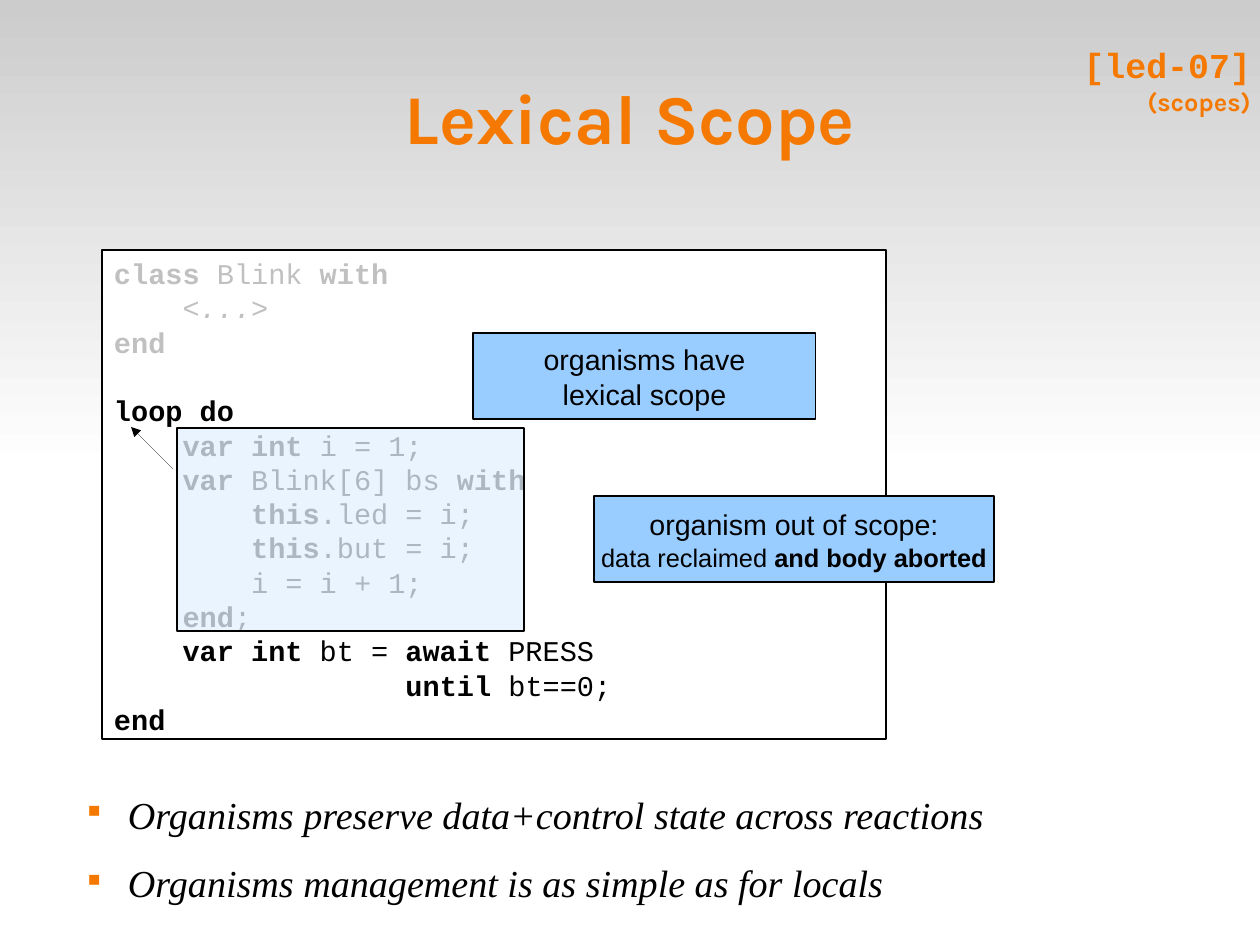
from lxml import etree
from pptx import Presentation
from pptx.dml.color import RGBColor
from pptx.enum.shapes import MSO_CONNECTOR, MSO_SHAPE
from pptx.enum.text import MSO_ANCHOR, MSO_AUTO_SIZE, PP_ALIGN
from pptx.oxml.ns import qn
from pptx.util import Emu, Pt

PX = 8000
SLIDE_WIDTH, SLIDE_HEIGHT = 1260, 945
TITLE_ONLY = 5

RECTANGLE = MSO_SHAPE.RECTANGLE
STRAIGHT = MSO_CONNECTOR.STRAIGHT
TOP, MIDDLE = MSO_ANCHOR.TOP, MSO_ANCHOR.MIDDLE
LEFT, CENTER, RIGHT = PP_ALIGN.LEFT, PP_ALIGN.CENTER, PP_ALIGN.RIGHT
NO_AUTOFIT = MSO_AUTO_SIZE.NONE

BLACK = RGBColor(0x00, 0x00, 0x00)
WHITE = RGBColor(0xFF, 0xFF, 0xFF)
ORANGE = RGBColor(0xF5, 0x79, 0x00)
BLUE = RGBColor(0x99, 0xCC, 0xFF)
BAND_GRAY = RGBColor(0xCC, 0xCC, 0xCC)
CLASS_GRAY = RGBColor(0xC0, 0xC0, 0xC0)
BODY_GRAY = RGBColor(0xB2, 0xB2, 0xB2)

SANS, MONO, HEADING, SERIF = "Arial", "Courier New", "Karla", "Times New Roman"

CODE = [
    (CLASS_GRAY, ["*class* Blink *with*", "    <...>", "*end*", ""]),
    (BLACK, ["*loop do*"]),
    (BODY_GRAY, [
        "*    var int* i = 1;",
        "*    var *Blink[6] bs *with*",
        "        *this*.led = i;",
        "        *this*.but = i;",
        "        i = i + 1;",
        "*    end*;",
    ]),
    (BLACK, [
        "    *var int* bt = *await *PRESS",
        "                 *until *bt==0;",
        "*end*",
    ]),
]
POINTS = [
    "Organisms preserve data+control state across reactions",
    "Organisms management is as simple as for locals",
]


def px(*lengths):
    return [Emu(length * PX) for length in lengths]


def setup_frame(shape, anchor=TOP, insets=(0, 0, 0, 0), wrap=True):
    frame = shape.text_frame
    frame.auto_size = NO_AUTOFIT
    frame.word_wrap = wrap
    frame.vertical_anchor = anchor
    (frame.margin_left, frame.margin_top,
     frame.margin_right, frame.margin_bottom) = px(*insets)
    return frame


def write(frame, text, first=False, font=SANS, size=18, color=BLACK,
          bold=False, italic=False, align=LEFT, spacing=None, after=0,
          bullet=False):
    paragraph = frame.paragraphs[0] if first else frame.add_paragraph()
    paragraph.alignment = align
    paragraph.line_spacing = spacing
    paragraph.space_after = Pt(after)
    if bullet:
        add_bullet(paragraph)
    paragraph.font.size = Pt(size)
    for index, part in enumerate(text.split("*")):
        if part:
            run = paragraph.add_run()
            run.text = part
            run.font.name = font
            run.font.size = Pt(size)
            run.font.bold = bold or index % 2 == 1
            run.font.italic = italic
            run.font.color.rgb = color


def add_bullet(paragraph):
    properties = paragraph._p.get_or_add_pPr()
    properties.set("marL", str(54 * PX))
    properties.set("indent", str(-40 * PX))
    color = etree.SubElement(properties, qn("a:buClr"))
    etree.SubElement(color, qn("a:srgbClr"), val=str(ORANGE))
    etree.SubElement(properties, qn("a:buSzPct"), val="45000")
    etree.SubElement(properties, qn("a:buChar"), char="■")


def add_box(slide, bounds, fill, line_width=0, alpha=None):
    shape = slide.shapes.add_shape(RECTANGLE, *px(*bounds))
    shape.shadow.inherit = False
    shape.fill.solid()
    shape.fill.fore_color.rgb = fill
    shape.line.color.rgb = BLACK
    shape.line.width = Pt(line_width)
    if alpha is not None:
        color = shape.fill._xPr.find(qn("a:solidFill"))[0]
        etree.SubElement(color, qn("a:alpha"), val=str(alpha * 1000))
    return shape


def add_band(slide):
    band = slide.shapes.add_shape(RECTANGLE, *px(0, 0, SLIDE_WIDTH, 472))
    band.shadow.inherit = False
    band.line.fill.background()
    band.fill.gradient()
    band.fill.gradient_angle = 270
    for stop, color in zip(band.fill.gradient_stops, (BAND_GRAY, WHITE)):
        stop.color.rgb = color


def add_code(slide):
    box = add_box(slide, (102, 250, 784, 489), WHITE, line_width=1.45)
    frame = setup_frame(box, insets=(12, 6, 12, 6))
    lines = [(line, color) for color, group in CODE for line in group]
    for index, (line, color) in enumerate(lines):
        write(frame, line, first=index == 0, font=MONO, color=color,
              italic="<...>" in line, spacing=Pt(21.6))


def add_callout(slide, bounds, heading, detail, detail_size):
    box = add_box(slide, bounds, BLUE)
    frame = setup_frame(box, MIDDLE, (11, 6, 11, 6), wrap=False)
    write(frame, heading, first=True, align=CENTER, spacing=1.03)
    write(frame, detail, size=detail_size, align=CENTER, spacing=1.03)


def add_arrow(slide, *ends):
    arrow = slide.shapes.add_connector(STRAIGHT, *px(*ends))
    arrow.line.color.rgb = BLACK
    arrow.line.width = Pt(0.1)
    line = arrow.line._get_or_add_ln()
    etree.SubElement(line, qn("a:tailEnd"), type="triangle")
    etree.SubElement(arrow._element.spPr, qn("a:effectLst"))


def add_corner_label(slide):
    label = slide.shapes.add_textbox(*px(117, 1, 1134, 158))
    frame = setup_frame(label, MIDDLE)
    write(frame, "[led-07]", first=True, font=MONO, size=22, color=ORANGE,
          bold=True, align=RIGHT)
    write(frame, "(scopes)", font=HEADING, size=16, color=ORANGE,
          bold=True, align=RIGHT)


def place_title(slide):
    title = slide.shapes.title
    title.left, title.top, title.width, title.height = px(63, 38, 1134, 158)
    write(setup_frame(title, MIDDLE), "Lexical Scope", first=True,
          font=HEADING, size=44, color=ORANGE, bold=True, align=CENTER)
    title.element.getparent().append(title.element)


def add_points(slide):
    body = slide.shapes.add_textbox(*px(74, 791, 1102, 153))
    frame = setup_frame(body)
    for index, point in enumerate(POINTS):
        write(frame, point, first=index == 0, font=SERIF, size=24,
              italic=True, after=14.2, bullet=True)


def main():
    presentation = Presentation()
    presentation.slide_width, presentation.slide_height = px(
        SLIDE_WIDTH, SLIDE_HEIGHT)
    slide = presentation.slides.add_slide(
        presentation.slide_layouts[TITLE_ONLY])
    add_band(slide)
    add_code(slide)
    add_callout(slide, (473, 333, 343, 86),
                "organisms have", "lexical scope", 18)
    add_arrow(slide, 173, 469, 131, 427)
    add_callout(slide, (594, 496, 400, 86), "organism out of scope:",
                "data reclaimed *and body aborted*", 16)
    add_corner_label(slide)
    place_title(slide)
    add_points(slide)
    add_box(slide, (177, 428, 347, 203), BLUE, alpha=20)
    presentation.save("out.pptx")


if __name__ == "__main__":
    main()
